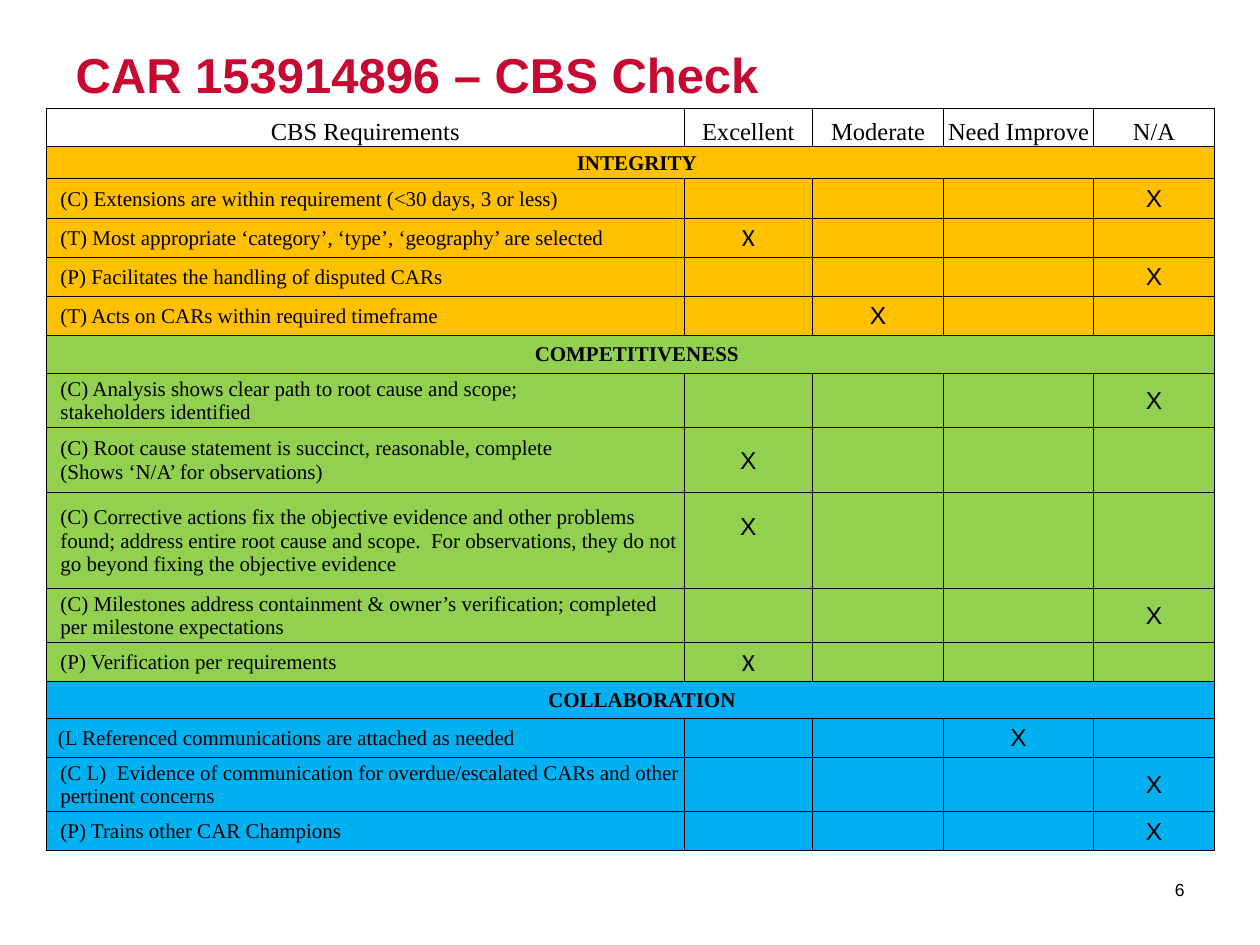
import pptx
import pptx.dml.color
import pptx.enum.text
import pptx.oxml
import pptx.oxml.ns
import pptx.util

Inches = pptx.util.Inches
ALIGN = pptx.enum.text.PP_ALIGN
ANCHOR = pptx.enum.text.MSO_ANCHOR

COLORS = {"title": "C70932", "text": "000000", "header": "FFFFFF",
          "integrity": "FFC000", "competitiveness": "92D050", "collaboration": "00B0F0"}
SERIF = "Times New Roman"
COLUMNS = [5.06, 1.02, 1.04, 1.19, 0.96]
HEADINGS = ["CBS Requirements", "Excellent", "Moderate", "Need Improve", "N/A"]
EXCELLENT, MODERATE, IMPROVE, NA = range(1, 5)
LINE = 0.29
INSET = 0.01

SECTIONS = [
    ("integrity", 0.26, [
        ("(C) Extensions are within requirement (<30 days, 3 or less)", NA, LINE),
        ("(T) Most appropriate ‘category’, ‘type’, ‘geography’ are selected", EXCELLENT, LINE),
        ("(P) Facilitates the handling of disputed CARs", NA, LINE),
        ("(T) Acts on CARs within required timeframe", MODERATE, LINE),
    ]),
    ("competitiveness", 0.3, [
        ("(C) Analysis shows clear path to root cause and scope;\nstakeholders identified",
         NA, 0.43),
        ("(C) Root cause statement is succinct, reasonable, complete\n"
         "(Shows ‘N/A’ for observations)", EXCELLENT, 0.52),
        ("(C) Corrective actions fix the objective evidence and other problems found; "
         "address entire root cause and scope.\u00a0 For observations, they do not go beyond "
         "fixing the objective evidence", EXCELLENT, 0.76),
        ("(C) Milestones address containment & owner’s verification; completed per "
         "milestone expectations", NA, 0.43),
        ("(P) Verification per requirements", EXCELLENT, LINE),
    ]),
    ("collaboration", LINE, [
        ("(L Referenced communications are attached as needed", IMPROVE, LINE),
        ("(C L)\u00a0 Evidence of communication for overdue/escalated CARs and other "
         "pertinent concerns", NA, 0.43),
        ("(P) Trains other CAR Champions", NA, LINE),
    ]),
]
CALIBRI_MARKS = ("(T) Most", "(P) Verification")
RAISED_MARK = "(C) Corrective"
OUTDENTED = "(L "


def rgb(name):
    """Return the named colour."""
    return pptx.dml.color.RGBColor.from_string(COLORS[name])


def style(p, size, font, align=ALIGN.LEFT, bold=False, color="text"):
    """Set the alignment and font of a paragraph."""
    p.alignment = align
    p.font.size = pptx.util.Pt(size)
    p.font.name = font
    p.font.bold = bold
    p.font.color.rgb = rgb(color)


def set_borders(cell, widths):
    """Draw the cell's left, right, top and bottom borders."""
    tcPr = cell._tc.get_or_add_tcPr()
    for side, width in zip("LRTB", widths):
        tcPr.append(pptx.oxml.parse_xml(
            f'<a:ln{side} {pptx.oxml.ns.nsdecls("a")} w="{pptx.util.Pt(width)}">'
            f'<a:solidFill><a:srgbClr val="{COLORS["text"]}"/></a:solidFill></a:ln{side}>'))


def write(cell, text, size, font=SERIF, align=ALIGN.CENTER, bold=False, indent=0):
    """Put styled text into a table cell."""
    tf = cell.text_frame
    tf.text = text
    for p in tf.paragraphs:
        if indent:
            p._p.get_or_add_pPr().set("marL", str(Inches(indent)))
        style(p, size, font, align, bold)


def write_requirement(table, row, text, mark):
    """Write one requirement and mark its rating."""
    outdented = text.startswith(OUTDENTED)
    write(table.cell(row, 0), text, 12, align=ALIGN.LEFT, indent=0.08 if outdented else 0.1)
    cell = table.cell(row, mark)
    write(cell, "X", 14, "Calibri" if text.startswith(CALIBRI_MARKS) else "Arial")
    if text.startswith(RAISED_MARK):
        cell.margin_bottom = Inches(0.23)


def format_grid(table, fills, heights):
    """Size the rows and columns and format every cell."""
    for column, width in zip(table.columns, COLUMNS):
        column.width = Inches(width)
    last_row, last_col = len(fills) - 1, len(COLUMNS) - 1
    for i, (fill, height) in enumerate(zip(fills, heights)):
        table.rows[i].height = Inches(height)
        for j in range(len(COLUMNS)):
            cell = table.cell(i, j)
            edges = (j == 0, j == last_col, i == 0, i == last_row)
            set_borders(cell, [1 if edge else 0.5 for edge in edges])
            cell.fill.solid()
            cell.fill.fore_color.rgb = rgb(fill)
            cell.margin_left = cell.margin_right = cell.margin_top = Inches(INSET)
            cell.margin_bottom = 0
            cell.vertical_anchor = ANCHOR.MIDDLE if i else ANCHOR.BOTTOM


def add_checklist(slide):
    """Add the table of requirements and ratings."""
    fills, heights, entries = ["header"], [0.3], [None]
    for name, height, requirements in SECTIONS:
        fills += [name] * (len(requirements) + 1)
        heights += [height] + [r[2] for r in requirements]
        entries += [(name.upper(), None)] + [r[:2] for r in requirements]
    table = slide.shapes.add_table(
        len(fills), len(COLUMNS), Inches(0.37), Inches(0.86),
        Inches(sum(COLUMNS)), Inches(sum(heights))).table
    table.first_row = table.horz_banding = False
    format_grid(table, fills, heights)
    for j, heading in enumerate(HEADINGS):
        write(table.cell(0, j), heading, 14)
    for row, (text, mark) in enumerate(entries[1:], 1):
        if mark:
            write_requirement(table, row, text, mark)
        else:
            table.cell(row, 0).merge(table.cell(row, len(COLUMNS) - 1))
            indent = 0.18 if fills[row] == "collaboration" else 0.1
            write(table.cell(row, 0), text, 12, bold=True, indent=indent)


def add_title(slide, text):
    """Fill and place the title."""
    sp = slide.shapes.title
    sp.left, sp.top, sp.width, sp.height = map(Inches, (0.5, 0.3, 9, 1.25))
    tf = sp.text_frame
    tf.text = text
    tf.vertical_anchor = ANCHOR.TOP
    tf.auto_size = pptx.enum.text.MSO_AUTO_SIZE.NONE
    style(tf.paragraphs[0], 28, "Arial", bold=True, color="title")


def add_page_number(slide, number):
    """Add the page number at the lower right."""
    tf = slide.shapes.add_textbox(*map(Inches, (8.8, 6.86, 0.7, 0.4))).text_frame
    tf.word_wrap = True
    tf.vertical_anchor = ANCHOR.MIDDLE
    tf.text = number
    style(tf.paragraphs[0], 10, "Arial", ALIGN.RIGHT)


def main():
    """Build the checklist slide and save it."""
    prs = pptx.Presentation()
    prs.slide_width, prs.slide_height = Inches(10), Inches(7.5)
    slide = prs.slides.add_slide(prs.slide_layouts[5])
    add_title(slide, "CAR 153914896 – CBS Check")
    add_page_number(slide, "6")
    add_checklist(slide)
    prs.save("out.pptx")


if __name__ == "__main__":
    main()
